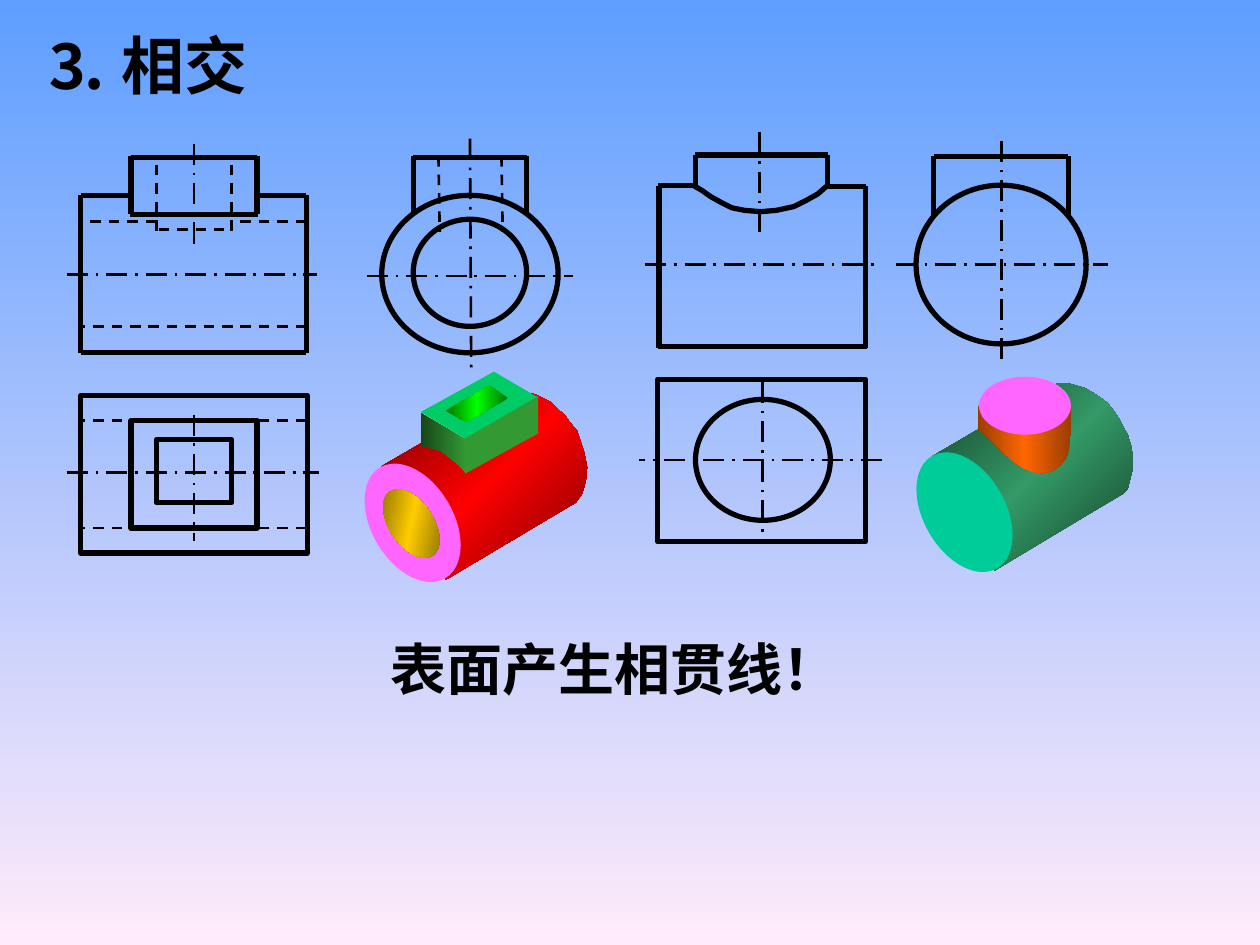
import pptx
import pptx.dml.color
import pptx.enum.dml
import pptx.enum.shapes
import pptx.enum.text
import pptx.oxml.ns
import pptx.util
from lxml import etree

Inches = pptx.util.Inches
SHAPES = pptx.enum.shapes.MSO_SHAPE
DASHES = pptx.enum.dml.MSO_LINE
qn = pptx.oxml.ns.qn

COLOURS = {
    "ink": "000000", "sky": "5E9EFF", "blush": "FFEBFA",
    "red": "FF0000", "dark red": "750000", "pink": "FF66FF",
    "leaf": "339933", "dark leaf": "174617", "mint": "00CC66",
    "lime": "00FF00", "dark lime": "007500", "gold": "FFCC00", "dark gold": "755E00",
    "green": "339966", "dark green": "15412B", "teal": "00CC99",
    "orange": "FF6600", "dark orange": "9A3D00",
}


class Drawing:
    font = "Times New Roman"
    # Line kinds: width in points and dash
    lines = {"edge": (3, None), "hidden": (1.5, DASHES.DASH),
             "axis": (1.5, DASHES.LONG_DASH_DOT)}

    def __init__(self, page):
        self.page = page
        self.group = None

    def start_group(self):
        self.group = self.page.shapes.add_group_shape().shapes

    def colour(self, name):
        return pptx.dml.color.RGBColor.from_string(COLOURS[name])

    def paint(self, fill, element, names, angle=0):
        """One name gives a solid fill, several give evenly spaced stops."""
        if len(names) == 1:
            fill.solid()
            fill.fore_color.rgb = self.colour(names[0])
            return
        fill.gradient()
        fill.gradient_angle = (360 - angle) % 360
        stops = element.find(".//" + qn("a:gsLst"))
        for stop in list(stops):
            stops.remove(stop)
        for i, name in enumerate(names):
            stop = etree.SubElement(stops, qn("a:gs"), pos=str(100000 * i // (len(names) - 1)))
            etree.SubElement(stop, qn("a:srgbClr"), val=COLOURS[name])

    def pen(self, line, kind):
        width, dash = self.lines[kind]
        line.color.rgb = self.colour("ink")
        line.width = pptx.util.Pt(width)
        if dash:
            line.dash_style = dash

    def finish(self, shape, names, angle):
        """Filled shapes have no outline, empty ones have an edge."""
        shape.shadow.inherit = False
        if names:
            self.paint(shape.fill, shape.element, names, angle)
            shape.line.fill.background()
        else:
            shape.fill.background()
            self.pen(shape.line, "edge")

    def text(self, box, words, size, left, top, width, height):
        box.left, box.top, box.width, box.height = map(Inches, (left, top, width, height))
        frame = box.text_frame
        frame.word_wrap = False
        frame.auto_size = pptx.enum.text.MSO_AUTO_SIZE.NONE
        frame.vertical_anchor = pptx.enum.text.MSO_ANCHOR.TOP
        para = frame.paragraphs[0]
        para.alignment = pptx.enum.text.PP_ALIGN.LEFT
        span = para.add_run()
        span.text = words
        span.font.name = self.font
        span.font.size = pptx.util.Pt(size)
        span.font.bold = True
        span.font.color.rgb = self.colour("ink")

    def line(self, kind, *ends):
        line = self.group.add_connector(pptx.enum.shapes.MSO_CONNECTOR.STRAIGHT, *map(Inches, ends))
        self.pen(line.line, kind)
        etree.SubElement(line.element.spPr, qn("a:effectLst"))

    def preset(self, kind, left, top, width, height, names=(), angle=0, turn=0):
        shape = self.group.add_shape(kind, *map(Inches, (left, top, width, height)))
        shape.rotation = turn
        self.finish(shape, names, angle)

    def outline(self, points, names=(), angle=0, close=True):
        points = [(Inches(x), Inches(y)) for x, y in points]
        builder = self.group.build_freeform(*points[0])
        builder.add_line_segments(points[1:], close=close)
        self.finish(builder.convert_to_shape(), names, angle)


deck = pptx.Presentation()
deck.slide_width, deck.slide_height = Inches(10), Inches(7.5)
page = deck.slides.add_slide(deck.slide_layouts[5])
draw = Drawing(page)
draw.paint(page.background.fill, page.element, ("sky", "blush"), 90)

# Title and conclusion; the title is wide enough to stay on one line
draw.text(page.shapes.title, "⒊ 相交", 36, 0.25, 0.16, 2.5, 0.7)
conclusion = page.shapes.add_textbox(0, 0, 0, 0)
draw.text(conclusion, "表面产生相贯线！", 32, 3, 4.99, 3.76, 0.64)

# Hollow cylinder with square boss: front view
draw.start_group()
draw.line("axis", 0.53, 2.18, 2.52, 2.18)
draw.line("axis", 1.54, 1.14, 1.54, 1.94)
for start, end, y in ((2.43, 1.83, 1.76), (1.24, 0.64, 1.76), (2.43, 0.64, 2.59), (1.26, 1.83, 1.82)):
    draw.line("hidden", start, y, end, y)
for x in (1.24, 1.84):
    draw.line("hidden", x, 1.83, x, 1.24)
for x in (1.04, 2.04):
    draw.line("edge", x, 1.24, x, 1.7)
for x in (0.64, 2.43):
    draw.line("edge", x, 1.55, x, 2.8)
for start, end, y in ((1.04, 2.04, 1.25), (1.03, 2.05, 1.7), (0.64, 2.43, 2.8),
                      (2.43, 2.03, 1.55), (1.03, 0.64, 1.55)):
    draw.line("edge", start, y, end, y)

# Hollow cylinder: side view
draw.line("axis", 2.91, 2.19, 4.55, 2.19)
draw.line("axis", 3.73, 1.1, 3.74, 2.94)
draw.preset(SHAPES.OVAL, 3.03, 1.55, 1.4, 1.25)
draw.preset(SHAPES.OVAL, 3.28, 1.74, 0.9, 0.85)
draw.line("edge", 3.28, 1.25, 4.18, 1.25)
for x in (3.28, 4.18):
    draw.line("edge", x, 1.24, x, 1.69)
for x in (3.48, 3.98):
    draw.line("hidden", x, 1.24, x + 0.01, 1.84)

# Hollow cylinder: top view
draw.line("axis", 0.53, 3.75, 2.53, 3.75)
draw.line("axis", 1.54, 3.29, 1.54, 4.29)
for y in (3.34, 4.19):
    draw.line("hidden", 2.43, y, 0.64, y)
for top, width, height in ((3.14, 1.8, 1.25), (3.34, 1, 0.85), (3.49, 0.6, 0.5)):
    draw.preset(SHAPES.RECTANGLE, 1.54 - width / 2, top, width, height)

# Hollow cylinder: solid model
draw.outline([
    (3.03, 3.7), (3.34, 3.52), (3.38, 3.5), (3.48, 3.55), (3.55, 3.6), (3.67, 3.68), (3.69, 3.75),
    (4.27, 3.42), (4.27, 3.17), (4.22, 3.12), (4.29, 3.15), (4.37, 3.19), (4.43, 3.25), (4.48, 3.29),
    (4.53, 3.36), (4.58, 3.42), (4.61, 3.51), (4.64, 3.6), (4.66, 3.71), (4.65, 3.82), (4.62, 3.92),
    (4.57, 3.99), (4.5, 4.03), (3.54, 4.6), (3.53, 4.49), (3.65, 4.41), (3.66, 4.33), (3.65, 4.24),
    (3.61, 4.14), (3.52, 3.95), (3.48, 3.88), (3.42, 3.83), (3.33, 3.77), (3.23, 3.71), (3.17, 3.68),
    (3.1, 3.69)], ("dark red", "red", "dark red"), 225)
draw.preset(SHAPES.OVAL, 2.95, 3.64, 0.65, 1.02, ("pink",), turn=329.6)
draw.outline([
    (3.34, 3.28), (3.7, 3.49), (3.7, 3.76), (3.64, 3.69), (3.59, 3.65), (3.54, 3.61), (3.5, 3.58),
    (3.44, 3.56), (3.39, 3.55), (3.34, 3.55)], ("leaf", "dark leaf"), 180)
draw.outline([(3.68, 3.45), (3.69, 3.52), (3.69, 3.76), (4.27, 3.44), (4.27, 3.14)], ("leaf",))
draw.outline([(3.34, 3.27), (3.69, 3.48), (4.26, 3.15), (3.92, 2.95)], ("mint",))
draw.outline([(3.54, 3.26), (3.88, 3.06), (4.03, 3.16), (3.7, 3.35)],
             ("dark lime", "lime", "dark lime"), 180)
draw.preset(SHAPES.OVAL, 3.09, 3.85, 0.35, 0.61, ("dark gold", "gold", "dark gold"), 225, 326.1)

# Solid cylinder with round boss: front view
draw.start_group()
draw.line("axis", 5.12, 2.1, 6.98, 2.1)
draw.line("axis", 6.03, 1.05, 6.03, 1.88)
for x in (5.23, 6.87):
    draw.line("edge", x, 1.48, x, 2.76)
for x in (5.52, 6.57):
    draw.line("edge", x, 1.23, x, 1.47)
for start, end, y in ((5.22, 6.88, 2.75), (5.52, 6.57, 1.23), (5.51, 5.22, 1.47), (6.57, 6.87, 1.48)):
    draw.line("edge", start, y, end, y)
draw.outline([
    (5.5, 1.47), (5.57, 1.51), (5.64, 1.56), (5.73, 1.61), (5.81, 1.65), (5.91, 1.67), (6.04, 1.68),
    (6.16, 1.67), (6.3, 1.64), (6.4, 1.59), (6.49, 1.54), (6.57, 1.47)], close=False)

# Solid cylinder: side view
draw.line("axis", 7.11, 2.1, 8.79, 2.1)
draw.line("axis", 7.95, 2.85, 7.95, 1.1)
draw.preset(SHAPES.OVAL, 7.27, 1.47, 1.35, 1.26)
draw.line("edge", 7.41, 1.24, 8.48, 1.24)
for x in (7.41, 8.48):
    draw.line("edge", x, 1.24, x, 1.72)

# Solid cylinder: top view
draw.line("axis", 7, 3.65, 5.07, 3.65)
draw.line("axis", 6.05, 3.03, 6.05, 4.25)
draw.preset(SHAPES.RECTANGLE, 5.22, 3.01, 1.65, 1.29)
draw.preset(SHAPES.OVAL, 5.52, 3.17, 1.07, 0.96)

# Solid cylinder: solid model
draw.outline([
    (7.4, 3.62), (7.76, 3.41), (7.84, 3.45), (7.92, 3.49), (7.95, 3.53), (8, 3.62), (8.14, 3.68),
    (8.28, 3.71), (8.41, 3.7), (8.44, 3.63), (8.47, 3.52), (8.49, 3.31), (8.46, 3.19), (8.42, 3.12),
    (8.36, 3.06), (8.4, 3.04), (8.47, 3.04), (8.54, 3.06), (8.61, 3.08), (8.68, 3.12), (8.74, 3.16),
    (8.79, 3.2), (8.84, 3.26), (8.88, 3.32), (8.92, 3.4), (8.95, 3.45), (8.98, 3.55), (8.99, 3.63),
    (8.99, 3.72), (8.97, 3.8), (8.95, 3.88), (8.91, 3.92), (8.49, 4.17), (7.89, 4.53), (7.95, 4.43),
    (8, 4.34), (8.02, 4.19), (7.98, 4.06), (7.88, 3.85), (7.8, 3.78), (7.72, 3.7), (7.58, 3.63),
    (7.49, 3.61)], ("dark green", "green", "dark green"), 225)
draw.preset(SHAPES.OVAL, 7.33, 3.55, 0.65, 1.03, ("teal",), turn=330)
draw.outline([
    (7.76, 3.21), (7.76, 3.41), (7.85, 3.48), (7.98, 3.61), (8.05, 3.67), (8.11, 3.71), (8.18, 3.74),
    (8.24, 3.76), (8.31, 3.75), (8.35, 3.74), (8.41, 3.7), (8.46, 3.64), (8.48, 3.59), (8.5, 3.45),
    (8.5, 3.2), (8.46, 3.28), (8.42, 3.34), (8.37, 3.38), (8.3, 3.4), (8.16, 3.43), (8.1, 3.43),
    (8, 3.42), (7.89, 3.37), (7.83, 3.32), (7.8, 3.29)], ("dark orange", "orange", "dark orange"), 180)
draw.preset(SHAPES.OVAL, 7.77, 2.99, 0.73, 0.46, ("pink",))

deck.save("out.pptx")
